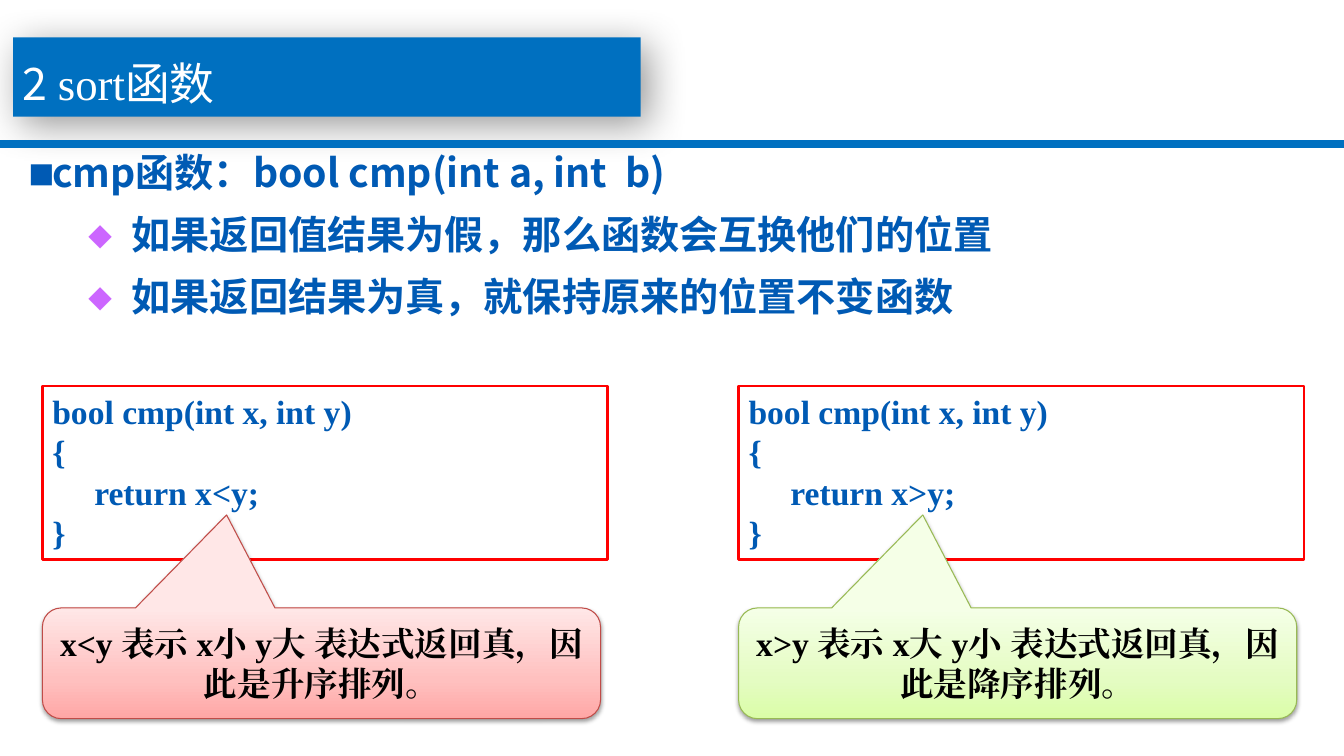
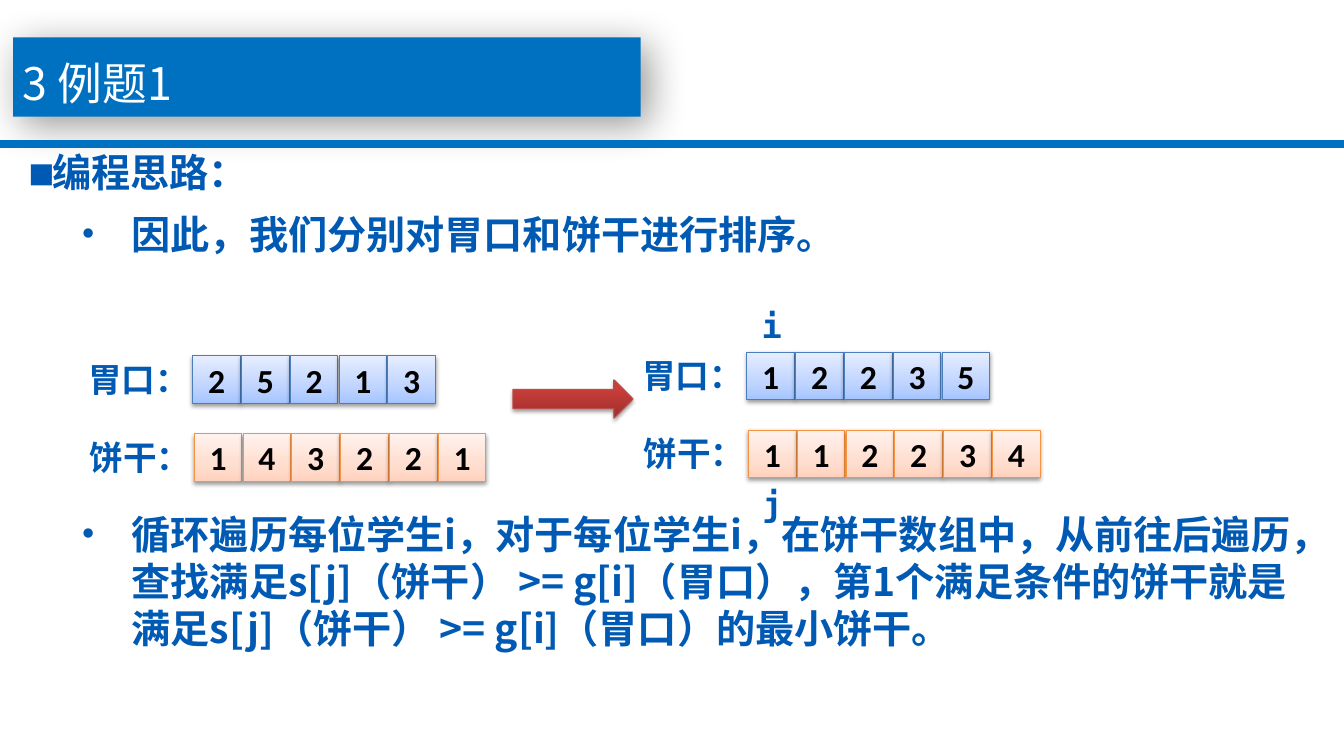
from dataclasses import dataclass

from pptx import Presentation, util as u
from pptx.dml.color import RGBColor
from pptx.enum import shapes, text
from pptx.oxml import parse_xml
from pptx.oxml.ns import nsdecls, qn

KIND = shapes.MSO_SHAPE
ALIGN = text.PP_ALIGN
ANCHOR = text.MSO_ANCHOR


@dataclass(frozen=True)
class Theme:
    # colours
    band: str = "0070C0"
    ink: str = "005AB4"
    dark: str = "000000"
    white: str = "FFFFFF"
    frame: str = "FF0000"
    gem: str = "CC66FF"
    # gradient stops (position in percent, colour), then line colour
    red: tuple = (((0, "FFA6A5"), (35, "FFC0BF"), (100, "FFE7E7")), "BF4C48")
    green: tuple = (((0, "DAFDA7"), (35, "E4FCC2"), (100, "F5FFE7")), "98B955")
    blue: tuple = (((0, "A4C4FF"), (35, "BFD4FF"), (100, "E6EEFF")), "4B7EBC")
    peach: tuple = (((0, "FFD2BD"), (35, "FFDED0"), (100, "FFF2ED")), "F69240")
    arrow: tuple = (((0, "9C2F2D"), (80, "CB3E3A"), (100, "CE3B37")), "BF4C48")
    # shadows: opacity percent, blur, distance (points), angle
    deep: tuple = (40, 28, 8, 45)
    soft: tuple = (38, 3.1, 1.6, 90)
    # fonts and type sizes
    sans: str = "Noto Sans CJK SC"
    serif: str = "Times New Roman"
    mono: str = "DejaVu Sans Mono"
    digit: str = "Calibri"
    head: int = 32
    body: int = 28
    note: int = 24
    gap: float = 10.5


class Deck:
    def __init__(self, theme):
        self.look = theme
        self.prs = Presentation()
        self.prs.slide_width = u.Cm(33.88)
        self.prs.slide_height = u.Cm(19.05)
        self.slide = None

    # --- styling helpers ---
    def style(self, run, font, size, color, bold=True):
        run.font.size = u.Pt(size)
        run.font.bold = bold
        run.font.color.rgb = RGBColor.from_string(color)
        run.font.name = font
        run._r.get_or_add_rPr().append(
            parse_xml(f'<a:ea {nsdecls("a")} typeface="{font}"/>'))

    def fill_in(self, frame, words, font, size, color, align=ALIGN.LEFT):
        frame.word_wrap = True
        frame.text = words
        for para in frame.paragraphs:
            para.alignment = align
            for run in para.runs:
                self.style(run, font, size, color)

    def shade(self, shape, shadow):
        alpha, blur, dist, angle = shadow
        shape._element.spPr.find(qn("a:effectLst")).append(parse_xml(
            f'<a:outerShdw {nsdecls("a")} blurRad="{u.Pt(blur)}" '
            f'dist="{u.Pt(dist)}" dir="{angle * 60000}" algn="ctr" '
            f'rotWithShape="0"><a:srgbClr val="{self.look.dark}">'
            f'<a:alpha val="{alpha * 1000}"/></a:srgbClr></a:outerShdw>'))

    def bullet(self, para, char, font, percent=100, color=None,
               margin=0, indent=0):
        props = para._p.get_or_add_pPr()
        props.set("marL", str(u.Cm(margin)))
        props.set("indent", str(u.Cm(indent)))
        ns = nsdecls("a")
        if color:
            props.append(parse_xml(
                f'<a:buClr {ns}><a:srgbClr val="{color}"/></a:buClr>'))
        for tag in (f'buSzPct {ns} val="{percent * 1000}"',
                    f'buFont {ns} typeface="{font}"',
                    f'buChar {ns} char="{char}"'):
            props.append(parse_xml(f"<a:{tag}/>"))

    # --- basic elements ---
    def shape(self, kind, x, y, w, h, fill=None, line=None, width=0.75):
        item = self.slide.shapes.add_shape(
            kind, u.Cm(x), u.Cm(y), u.Cm(w), u.Cm(h))
        item.shadow.inherit = False
        if fill:
            item.fill.solid()
            item.fill.fore_color.rgb = RGBColor.from_string(fill)
        else:
            item.fill.background()
        if line:
            item.line.color.rgb = RGBColor.from_string(line)
            item.line.width = u.Pt(width)
        else:
            item.line.fill.background()
        return item

    def glossy(self, kind, x, y, w, h, tone):
        stops, line = tone
        item = self.shape(kind, x, y, w, h, line=line)
        item.fill.gradient()
        item.fill.gradient_angle = 90
        group = item._element.spPr.find(qn("a:gradFill")).find(qn("a:gsLst"))
        for old in list(group):
            group.remove(old)
        for place, color in stops:
            group.append(parse_xml(
                f'<a:gs {nsdecls("a")} pos="{place * 1000}">'
                f'<a:srgbClr val="{color}"/></a:gs>'))
        self.shade(item, self.look.soft)
        return item

    def box(self, x, y, w, h):
        frame = self.slide.shapes.add_textbox(
            u.Cm(x), u.Cm(y), u.Cm(w), u.Cm(h)).text_frame
        frame.word_wrap = True
        return frame

    # --- slide parts ---
    def page(self, *parts):
        """New slide with band, rule and a title made of (text, font) parts."""
        look = self.look
        self.slide = self.prs.slides.add_slide(self.prs.slide_layouts[6])
        band = self.shape(KIND.RECTANGLE, 0.33, 0.94, 15.82, 2, look.band)
        self.shade(band, look.deep)
        self.shape(KIND.RECTANGLE, 0, 3.53, 33.88, 0.2, look.band)
        para = self.box(0.33, 1.29, 15.7, 1.9).paragraphs[0]
        for words, font in parts:
            run = para.add_run()
            run.text = words
            self.style(run, font, look.head, look.white, False)

    def points(self, y, h, lines):
        """Body text from (mark, text) lines."""
        look = self.look
        marks = {
            "■": dict(font=look.mono, percent=90),
            "◆": dict(font=look.mono, color=look.gem,
                      margin=2.54, indent=-1.09),
            "•": dict(font=look.serif, margin=2.54, indent=-1.27),
        }
        frame = self.box(0.53, y, 32.33, h)
        self.fill_in(frame, "\n".join(words for _, words in lines),
                     look.sans, look.body, look.ink)
        for i, (para, (mark, _)) in enumerate(zip(frame.paragraphs, lines)):
            para.level = 0 if mark == "■" else 1
            self.bullet(para, mark, **marks[mark])
            para.space_before = u.Pt(look.gap if i else 0)

    def code(self, x, y, words):
        look = self.look
        item = self.shape(KIND.RECTANGLE, x, y, 14.25, 4.37,
                          line=look.frame, width=1.75)
        item.text_frame.vertical_anchor = ANCHOR.TOP
        self.fill_in(item.text_frame, words, look.serif, look.note, look.ink)

    def callout(self, x, y, words, tone):
        look = self.look
        item = self.glossy(KIND.ROUNDED_RECTANGULAR_CALLOUT,
                           x, y, 14.07, 2.79, tone)
        for i, value in enumerate((-0.17, -1.34, 0.17)):
            item.adjustments[i] = value
        item.text_frame.vertical_anchor = ANCHOR.MIDDLE
        self.fill_in(item.text_frame, words, look.serif, look.note, look.dark,
                     ALIGN.CENTER)

    def label(self, x, y, words, w=3.2):
        look = self.look
        self.fill_in(self.box(x, y, w, 1.27), words,
                     look.mono, look.note, look.ink)

    def row(self, x, y, name, digits, tone):
        """Named array drawn as a run of square cells."""
        look = self.look
        self.label(x - 2.89, y - 0.05, name)
        for i, digit in enumerate(digits):
            cell = self.glossy(KIND.RECTANGLE, x + 1.23 * i, y, 1.2, 1.2, tone)
            cell.text_frame.vertical_anchor = ANCHOR.MIDDLE
            self.fill_in(cell.text_frame, digit, look.digit, look.note,
                         look.dark, ALIGN.CENTER)


def sort_page(deck):
    look = deck.look
    deck.page(("2 ", look.sans), ("sort", look.serif), ("函数", look.sans))
    deck.points(3.62, 5.5, [
        ("■", "cmp函数：bool cmp(int a, int  b)"),
        ("◆", "如果返回值结果为假，那么函数会互换他们的位置"),
        ("◆", "如果返回结果为真，就保持原来的位置不变函数"),
    ])
    # comparison functions with their meaning
    for x, sign, first, last, order, tone in (
            (1.07, "<", "小", "大", "升", look.red),
            (18.62, ">", "大", "小", "降", look.green)):
        deck.code(x, 9.73,
                  f"bool cmp(int x, int y)\n{{\n     return x{sign}y;\n}}")
        deck.callout(x, 15.32,
                     f"x{sign}y 表示 x{first} y{last} "
                     f"表达式返回真，因此是{order}序排列。", tone)


def task_page(deck):
    look = deck.look
    deck.page(("3 例题1", look.sans))
    deck.points(3.62, 3.6, [
        ("■", "编程思路："),
        ("•", "因此，我们分别对胃口和饼干进行排序。"),
    ])
    deck.points(12.73, 4.9, [
        ("•", "循环遍历每位学生i，对于每位学生i，在饼干数组中，从前往后遍历，"
              "查找满足s[j]（饼干） >= g[i]（胃口），第1个满足条件的饼干就是"
              "满足s[j]（饼干） >= g[i]（胃口）的最小饼干。"),
    ])
    # arrays before and after sorting
    for x, y, wants, cakes in ((4.86, 8.97, "25213", "143221"),
                               (18.83, 8.88, "12235", "112234")):
        deck.row(x, y, "胃口：", wants, look.blue)
        deck.row(x + 0.04, y + 1.96, "饼干：", cakes, look.peach)
    deck.glossy(KIND.RIGHT_ARROW, 12.93, 9.57, 3.03, 0.97, look.arrow)
    # index markers
    deck.label(18.95, 7.57, "i", 1.1)
    deck.label(18.97, 12.04, "j", 1.1)


def main():
    deck = Deck(Theme())
    sort_page(deck)
    task_page(deck)
    deck.prs.save("out.pptx")


if __name__ == "__main__":
    main()
